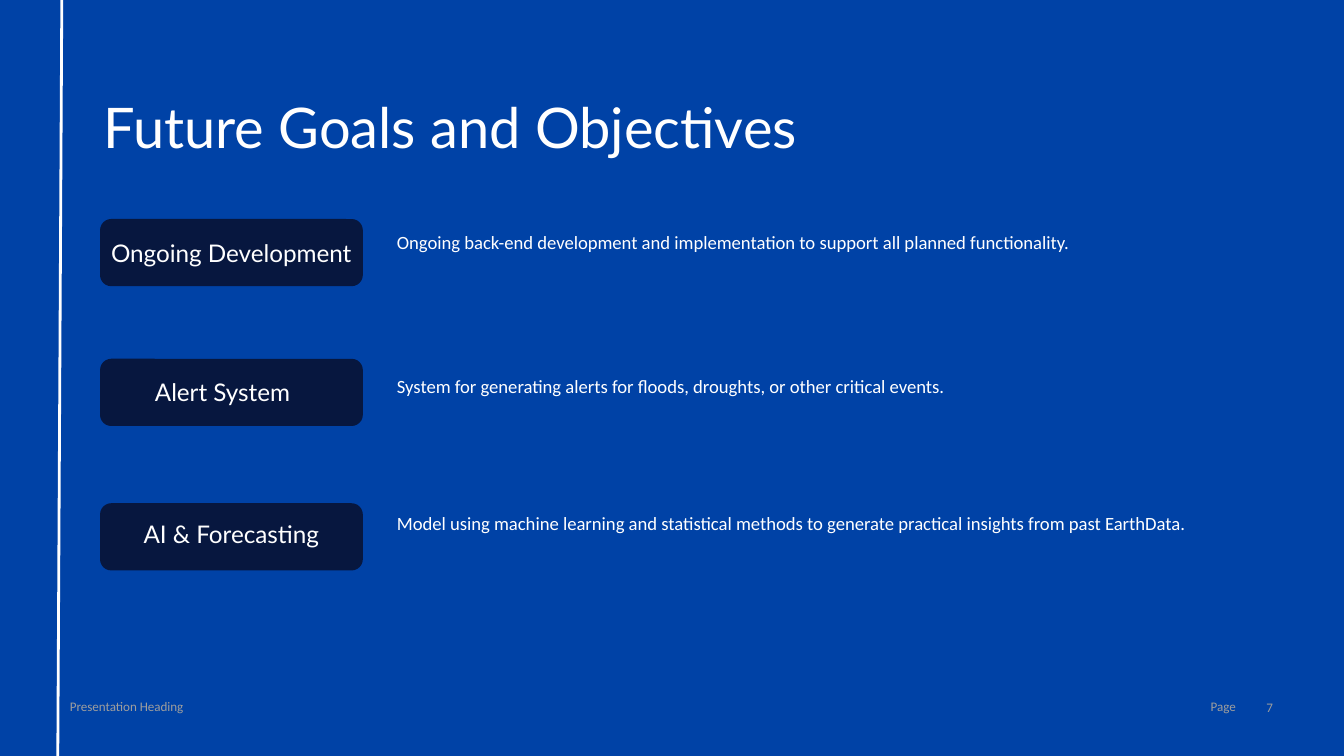
from pptx import Presentation
from pptx.dml.color import RGBColor
from pptx.enum.shapes import MSO_CONNECTOR as CONN, MSO_SHAPE as SHAPE
from pptx.enum.text import MSO_ANCHOR as ANCHOR, PP_ALIGN as ALIGN
from pptx.oxml.ns import qn
from pptx.util import Pt
from lxml.etree import SubElement

PX = 4572  # 200 px to the inch
W, H = 2000, 1125
BLUE, NAVY, WHITE, GREY = "0042A6", "07173F", "FFFFFF", "9E9E9E"

# top, label, label box (dx, dy, w, h), description, description box (dy, h)
GOALS = [
    (326, "Ongoing Development", (-22, 8, 434, 84),
     "Ongoing back-end development and implementation to support all planned functionality.",
     (-6, 112)),
    (534, "Alert System", (12, 8, 340, 84),
     "System for generating alerts for floods, droughts, or other critical events.",
     (0, 74)),
    (749, "AI & Forecasting", (13, 4, 364, 172),
     "Model using machine learning and statistical methods to generate practical insights "
     "from past EarthData.",
     (-12, 152)),
]


def px(*lengths):
    return [n * PX for n in lengths]


def rgb(color):
    return RGBColor.from_string(color)


def add_text(s, box, text, size, font, color=WHITE, align=ALIGN.LEFT,
             inset=0, spacing=None, anchor=ANCHOR.TOP):
    tf = s.shapes.add_textbox(*px(*box)).text_frame
    tf.word_wrap = True
    tf.vertical_anchor = anchor
    tf.margin_left = tf.margin_top = tf.margin_right = tf.margin_bottom = inset * PX
    p = tf.paragraphs[0]
    p.alignment = align
    if spacing:
        p.line_spacing = spacing
    r = p.add_run()
    r.text = text
    r.font.size = Pt(size)
    r.font.name = font
    r.font.color.rgb = rgb(color)


def add_side_line(s, x_top, x_bottom):
    line = s.shapes.add_connector(CONN.STRAIGHT, *px(x_top, 0, x_bottom, H))
    line.line.color.rgb = rgb(WHITE)
    line.line.width = Pt(1.5)
    SubElement(line._element.spPr, qn("a:effectLst"))


def add_footer(s, x, y):
    add_text(s, (x, y, 546, 24), "Presentation Heading", 7, "Calibri", GREY)
    add_text(s, (x + 1665, y, 70, 24), "Page", 7, "Calibri", GREY, ALIGN.RIGHT)
    add_text(s, (x + 1746, y, 44, 26), "7", 7, "Calibri", GREY, ALIGN.RIGHT,
             anchor=ANCHOR.MIDDLE)


def add_goal(s, x, y, label, label_box, description, description_box):
    """Place a rounded label with its description on the right."""
    plate = s.shapes.add_shape(SHAPE.ROUNDED_RECTANGLE, *px(x, y, 391, 100))
    plate.shadow.inherit = False
    plate.fill.solid()
    plate.fill.fore_color.rgb = rgb(NAVY)
    plate.line.fill.background()
    dx, dy, w, h = label_box
    add_text(s, (x + dx, y + dy, w, h), label, 13, "Lato", align=ALIGN.CENTER, inset=20)
    dy, h = description_box
    add_text(s, (x + 422, y + dy, 1214, h), description, 10, "Calibri",
             inset=20, spacing=1.15)


def main():
    prs = Presentation()
    prs.slide_width, prs.slide_height = px(W, H)
    s = prs.slides.add_slide(prs.slide_layouts[6])
    s.background.fill.solid()
    s.background.fill.fore_color.rgb = rgb(BLUE)
    add_footer(s, 104, 1040)
    add_text(s, (154, 157, 1430, 80), "Future Goals and Objectives", 30, "Lato", spacing=0.8)
    add_side_line(s, 92, 86)
    for top, *goal in GOALS:
        add_goal(s, 149, top, *goal)
    prs.save("out.pptx")


if __name__ == "__main__":
    main()
